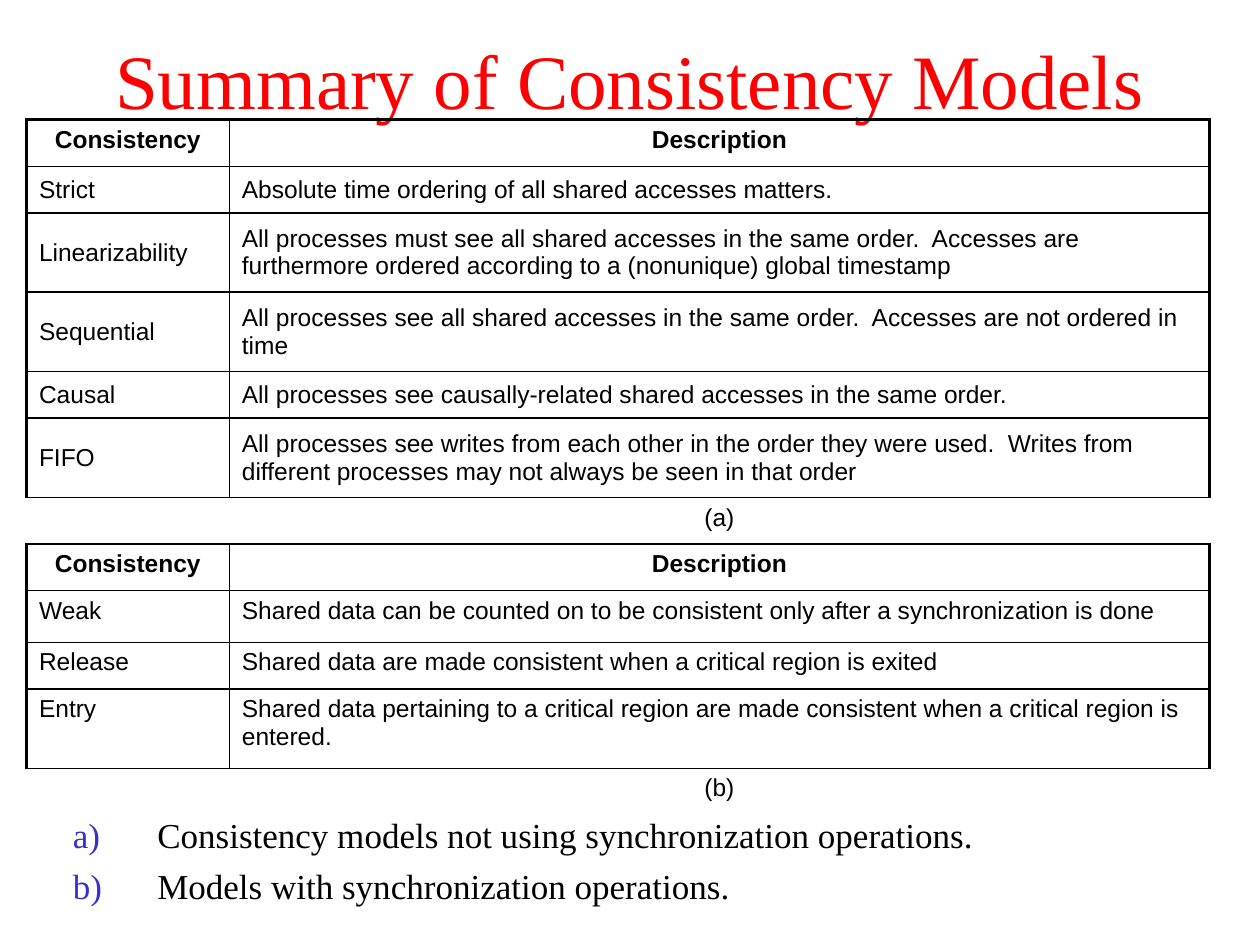
from lxml.etree import SubElement
from pptx import Presentation
from pptx.dml.color import RGBColor
from pptx.enum.text import MSO_ANCHOR, PP_ALIGN
from pptx.oxml.ns import qn
from pptx.util import Inches, Pt

COLORS = {"title": "FF0000", "text": "000000", "number": "3333CC", "border": "000000"}
TITLE_FORMAT = {"name": "Times New Roman", "size": Pt(44)}
NOTE_FORMAT = {"name": "Times New Roman", "size": Pt(20)}
CELL_FORMAT = {"name": "Arial", "size": Pt(14), "bold": False}
HEADER_FORMAT = {**CELL_FORMAT, "bold": True}

THIN, THICK = Pt(1), Pt(2.25)
COLUMN_WIDTHS = [1.61, 7.78]
HEADER = ("Consistency", "Description")
ROWS = [
    ("header", 0.37, HEADER),
    ("middle", 0.37, ("Strict", "Absolute time ordering of all shared accesses matters.")),
    ("middle", 0.63, ("Linearizability", "All processes must see all shared accesses in the same order.  "
                      "Accesses are furthermore ordered according to a (nonunique) global timestamp")),
    ("middle", 0.63, ("Sequential", "All processes see all shared accesses in the same order.  "
                      "Accesses are not ordered in time")),
    ("middle", 0.37, ("Causal", "All processes see causally-related shared accesses in the same order.")),
    ("middle", 0.63, ("FIFO", "All processes see writes from each other in the order they were used.  "
                      "Writes from different processes may not always be seen in that order")),
    ("caption", 0.37, ("", "(a)")),
    ("header", 0.37, HEADER),
    ("top", 0.41, ("Weak", "Shared data can be counted on to be consistent only after a synchronization is done")),
    ("top", 0.37, ("Release", "Shared data are made consistent when a critical region is exited")),
    ("top", 0.63, ("Entry", "Shared data pertaining to a critical region are made consistent "
                   "when a critical region is entered.")),
    ("caption", 0.37, ("", "(b)")),
]
NOTES = [
    "Consistency models not using synchronization operations.",
    "Models with synchronization operations.",
]


def write_text(paragraph, text, formats, color):
    run = paragraph.add_run()
    run.text = text
    for name, value in formats.items():
        setattr(run.font, name, value)
    run.font.color.rgb = RGBColor.from_string(COLORS[color])


def add_text_frame(slide, left, top, width, height, anchor):
    shape = slide.shapes.add_textbox(Inches(left), Inches(top), Inches(width), Inches(height))
    text_frame = shape.text_frame
    text_frame.word_wrap = True
    text_frame.vertical_anchor = anchor
    return text_frame


def add_title(slide, text):
    text_frame = add_text_frame(slide, 0, 0, 10, 1.25, MSO_ANCHOR.MIDDLE)
    paragraph = text_frame.paragraphs[0]
    paragraph.alignment = PP_ALIGN.CENTER
    write_text(paragraph, text, TITLE_FORMAT, "title")


def add_lettered_list(slide, items):
    text_frame = add_text_frame(slide, 0.48, 6.41, 9.1, 0.92, MSO_ANCHOR.TOP)
    for index, item in enumerate(items):
        paragraph = text_frame.add_paragraph() if index else text_frame.paragraphs[0]
        properties = paragraph._p.get_or_add_pPr()
        properties.set("marL", str(Inches(0.67)))
        properties.set("indent", str(-Inches(0.67)))
        number_color = SubElement(properties, qn("a:buClr"))
        SubElement(number_color, qn("a:srgbClr"), val=COLORS["number"])
        SubElement(properties, qn("a:buAutoNum"), type="alphaLcParenR")
        if index:
            paragraph.space_before = Pt(5)
        write_text(paragraph, item, NOTE_FORMAT, "text")


def set_borders(cell, widths):
    properties = cell._tc.get_or_add_tcPr()
    for side, width in zip(("lnL", "lnR", "lnT", "lnB"), widths):
        line = SubElement(properties, qn(f"a:{side}"), w=str(width))
        if width:
            fill = SubElement(line, qn("a:solidFill"))
            SubElement(fill, qn("a:srgbClr"), val=COLORS["border"])
        else:
            SubElement(line, qn("a:noFill"))


def border_widths(row, column):
    last = len(ROWS) - 1
    top = THIN if row else THICK
    bottom = THIN if row < last else 0
    if ROWS[row][0] == "caption":
        return 0, 0, top, bottom
    return (THIN, THICK, top, bottom) if column else (THICK, THIN, top, bottom)


def fill_cell(cell, text, kind):
    cell.vertical_anchor = MSO_ANCHOR.MIDDLE if kind == "middle" else MSO_ANCHOR.TOP
    paragraph = cell.text_frame.paragraphs[0]
    if kind in ("header", "caption"):
        paragraph.alignment = PP_ALIGN.CENTER
    if text:
        write_text(paragraph, text, HEADER_FORMAT if kind == "header" else CELL_FORMAT, "text")
    else:
        SubElement(paragraph._p, qn("a:endParaRPr"), sz="1400")


def add_model_table(slide):
    height = sum(row_height for _, row_height, _ in ROWS)
    table = slide.shapes.add_table(
        len(ROWS), len(COLUMN_WIDTHS), Inches(0.21), Inches(0.95),
        Inches(sum(COLUMN_WIDTHS)), Inches(height)).table
    table.first_row = False
    table.horz_banding = False
    for column, width in zip(table.columns, COLUMN_WIDTHS):
        column.width = Inches(width)
    for row, (kind, row_height, texts) in enumerate(ROWS):
        table.rows[row].height = Inches(row_height)
        for column, text in enumerate(texts):
            cell = table.cell(row, column)
            fill_cell(cell, text, kind)
            set_borders(cell, border_widths(row, column))
            cell.fill.background()


def main():
    presentation = Presentation()
    presentation.slide_width = Inches(10)
    presentation.slide_height = Inches(7.5)
    slide = presentation.slides.add_slide(presentation.slide_layouts[6])
    add_title(slide, "Summary of Consistency Models")
    add_lettered_list(slide, NOTES)
    add_model_table(slide)
    presentation.save("out.pptx")


if __name__ == "__main__":
    main()
